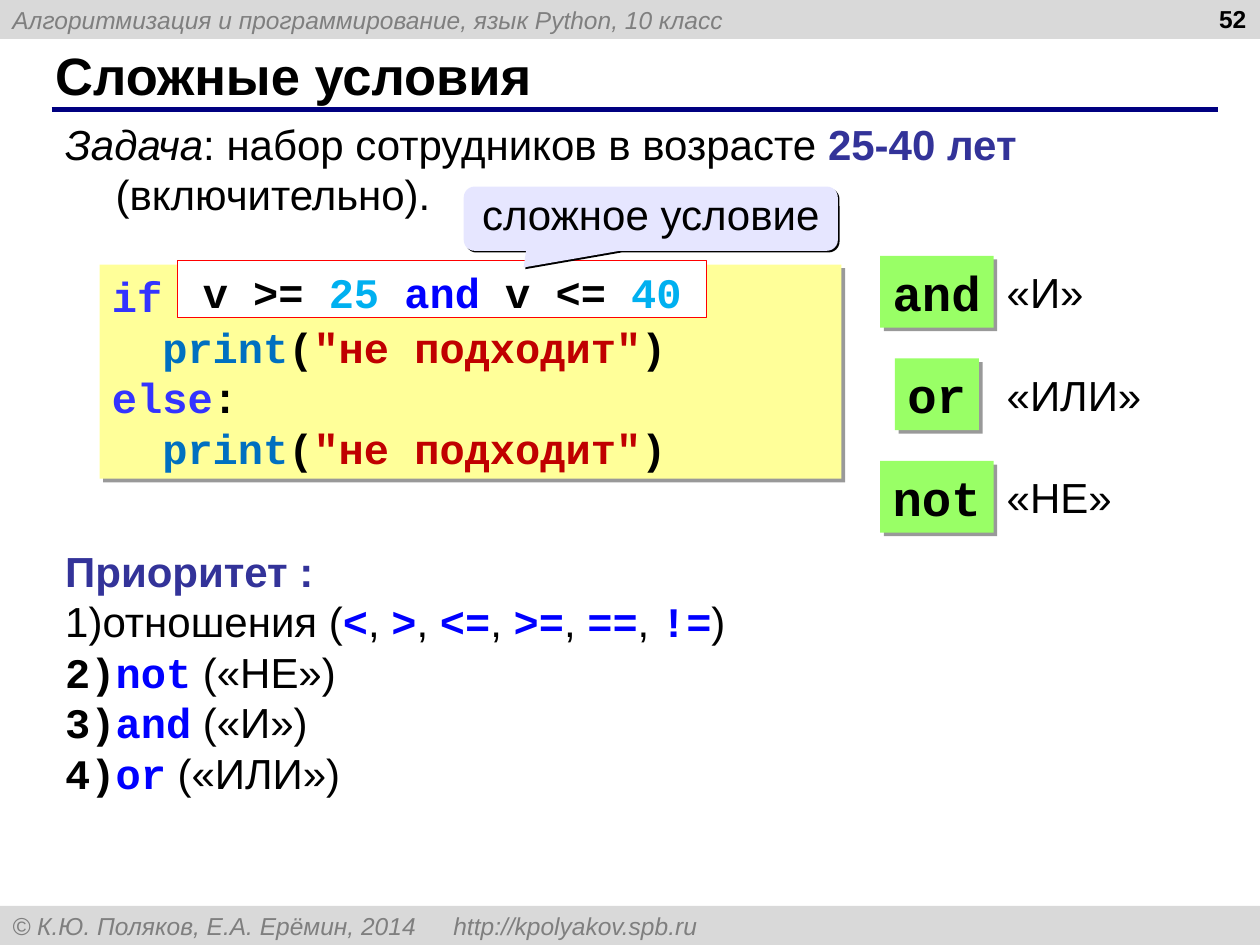
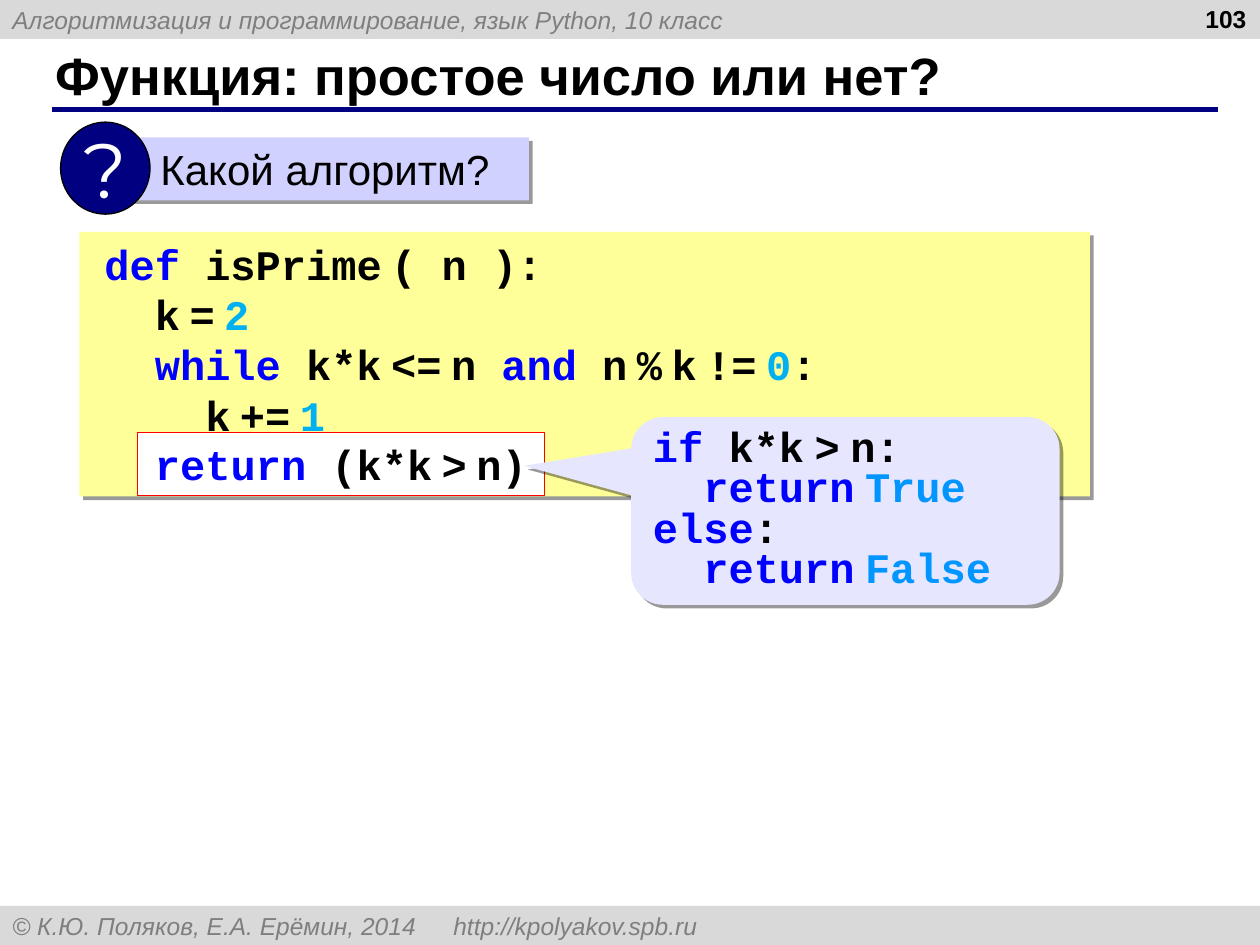
"""Build two lesson slides on conditions and prime numbers in Python."""
from lxml import etree
from pptx import Presentation
from pptx.dml.color import RGBColor
from pptx.enum.shapes import MSO_CONNECTOR, MSO_SHAPE
from pptx.enum.text import MSO_ANCHOR, PP_ALIGN
from pptx.oxml.ns import qn
from pptx.util import Pt

RECT, OVAL = MSO_SHAPE.RECTANGLE, MSO_SHAPE.OVAL
BUBBLE = MSO_SHAPE.ROUNDED_RECTANGULAR_CALLOUT
LINE = MSO_CONNECTOR.STRAIGHT
TOP, MID = MSO_ANCHOR.TOP, MSO_ANCHOR.MIDDLE
CENTER, RIGHT = PP_ALIGN.CENTER, PP_ALIGN.RIGHT

BLACK = RGBColor(0, 0, 0)
WHITE = RGBColor(255, 255, 255)
BAND = RGBColor(0xD9, 0xD9, 0xD9)
GRAY = RGBColor(0x7F, 0x7F, 0x7F)
NAVY = RGBColor(0, 0, 0x80)
INDIGO = RGBColor(0x33, 0x33, 0x99)
VIOLET = RGBColor(0x33, 0x33, 0xFF)
BLUE = RGBColor(0, 0, 0xFF)
STEEL = RGBColor(0, 0x70, 0xC0)
CYAN = RGBColor(0, 0xB0, 0xF0)
AZURE = RGBColor(0, 0x95, 0xFF)
CRIMSON = RGBColor(0xC0, 0, 0)
RED = RGBColor(255, 0, 0)
YELLOW = RGBColor(0xFF, 0xFF, 0x99)
GREEN = RGBColor(0x99, 0xFF, 0x66)
LILAC = RGBColor(0xD1, 0xD1, 0xFF)
PALE = RGBColor(0xE6, 0xE6, 0xFF)

BODY = {"name": "Arial", "size": Pt(24)}
BOLD = {**BODY, "bold": True}
SLANT = {**BODY, "italic": True}
SMALL = {"name": "Arial", "size": Pt(14)}
MONO = {"name": "Courier New", "size": Pt(24), "bold": True}
LOOKS = {
    "text": (BODY, BLACK),
    "slant": (SLANT, BLACK),
    "mark": (BOLD, INDIGO),
    "title": ({**BOLD, "size": Pt(30)}, BLACK),
    "band": ({**SMALL, "italic": True}, GRAY),
    "page": ({**SMALL, "bold": True}, BLACK),
    "code": (MONO, BLACK),
    "key": (MONO, BLUE),
    "branch": (MONO, VIOLET),
    "call": (MONO, STEEL),
    "str": (MONO, CRIMSON),
    "num": (MONO, CYAN),
    "bool": (MONO, AZURE),
    "word": ({**MONO, "size": Pt(28)}, BLACK),
    "ask": ({"name": "Montserrat", "size": Pt(44)}, WHITE),
}
THIN = "~"
SOFT = (40, 3)
HARD = (100, 1.4)

HEAD = "Алгоритмизация и программирование, язык Python, 10 класс"
FOOT = "© К.Ю. Поляков, Е.А. Ерёмин, 2014\thttp://kpolyakov.spb.ru"

TASK = [[("Задача", "slant"), (": набор сотрудников в возрасте ", "text"),
         ("25-40 лет ", "mark"), ("(включительно).", "text")]]
PRINT = [("  ", "code"), ("print", "call"), ("(", "code"),
         ('"не подходит"', "str"), (")", "code")]
CHOICE = [[("if", "branch"), ("\t:", "code")], PRINT,
          [("else", "branch"), (":", "code")], PRINT]
TEST = [[("v >= ", "code"), ("25 ", "num"), ("and", "key"),
         (" v <= ", "code"), ("40", "num")]]
WORDS = [("and", "«И»"), ("or", "«ИЛИ»"), ("not", "«НЕ»")]
SIGNS = ["<", ">", "<=", ">=", "==", "!="]
ORDER = ["not", "and", "or"]

RETURN = [("return", "key"), (" (k*k~>~n)", "code")]
PRIME = [
    [("def", "key"), (" isPrime~( n ):", "code")],
    [("  k~=~", "code"), ("2", "num")],
    [("  ", "code"), ("while", "key"), (" k*k~<=~n ", "code"), ("and", "key"),
     (" n~%~k~!=~", "code"), ("0", "num"), (":", "code")],
    [("    k~+=~", "code"), ("1", "num")],
    [("  ", "code")] + RETURN,
]
LONG = [
    [("if ", "key"), ("k*k~>~n:", "code")],
    [("  return~", "key"), ("True", "bool")],
    [("else", "key"), (":", "code")],
    [("  return~", "key"), ("False", "bool")],
]


def one(text, look="text"):
    """Wrap one run as a list of paragraphs."""
    return [[(text, look)]]


def child(node, tag, **values):
    """Add an XML child with the given attributes."""
    item = etree.SubElement(node, qn(tag))
    for key, value in values.items():
        item.set(key, str(value))
    return item


def put(par, text, look, thin):
    """Add a run, drawing thin marks as small spaces."""
    face, color = LOOKS[look]
    for i, part in enumerate(text.split(THIN)):
        for piece, size in ((" " if i else "", Pt(thin)), (part, face["size"])):
            if piece:
                run = par.add_run()
                run.text = piece
                for key, value in {**face, "size": size}.items():
                    setattr(run.font, key, value)
                run.font.color.rgb = color


def write(shape, pars, anchor=TOP, inset=3.6, wrap=True, left=0, hang=0,
          tab=None, count=False, thin=9, **form):
    """Fill a shape with formatted paragraphs."""
    frame = shape.text_frame
    frame.word_wrap, frame.vertical_anchor = wrap, anchor
    frame.margin_left = frame.margin_right = Pt(7.2)
    frame.margin_top, frame.margin_bottom = Pt(inset), Pt(3.6)
    for i, runs in enumerate(pars):
        par = frame.add_paragraph() if i else frame.paragraphs[0]
        props = par._p.get_or_add_pPr()
        props.set("marL", str(Pt(left)))
        props.set("indent", str(Pt(hang)))
        if count and i:
            color = child(props, "a:buClr")
            child(color, "a:srgbClr", val=BLACK)
            child(props, "a:buAutoNum", type="arabicParenR")
        if tab:
            tabs = child(props, "a:tabLst")
            child(tabs, "a:tab", pos=Pt(tab[0]), algn=tab[1])
        for key, value in {"alignment": PP_ALIGN.LEFT, **form}.items():
            setattr(par, key, value)
        for text, look in runs:
            put(par, text, look, thin)


def label(slide, box, pars, **form):
    """Add a text box."""
    write(slide.shapes.add_textbox(*map(Pt, box)), pars, **form)


def block(slide, box, fill, pars, kind=RECT, edge=None, shade=None, adj=(), **form):
    """Add a filled shape with text."""
    shape = slide.shapes.add_shape(kind, *map(Pt, box))
    for i, value in enumerate(adj):
        shape.adjustments[i] = value
    shape.fill.solid()
    shape.fill.fore_color.rgb = fill
    if edge is None:
        shape.line.fill.background()
    else:
        shape.line.color.rgb, shape.line.width = edge, Pt(0.75)
    shape.shadow.inherit = False
    if shade:
        alpha, dist = shade
        cast = child(shape._element.spPr.find(qn("a:effectLst")), "a:outerShdw",
                     blurRad=0, dist=Pt(dist), dir=45 * 60000, algn="ctr", rotWithShape=0)
        child(child(cast, "a:srgbClr", val=BLACK), "a:alpha", val=alpha * 1000)
    write(shape, pars, **form)


def start(deck, title, page):
    """Add a slide with its bands, rule, title and number."""
    slide = deck.slides.add_slide(deck.slide_layouts[6])
    high = 22.3
    block(slide, (0, 0, 720, high), BAND, one(HEAD, "band"), anchor=MID)
    block(slide, (0, 540 - high, 720, high), BAND, one(FOOT, "band"),
          anchor=MID, tab=(692, "r"))
    rule = slide.shapes.add_connector(LINE, Pt(29.5), Pt(62.6), Pt(696.2), Pt(62.6))
    rule.line.color.rgb, rule.line.width = NAVY, Pt(3)
    child(rule._element.spPr, "a:effectLst")
    label(slide, (24.5, 23.8, 659.5, 37.4), one(title, "title"), anchor=MID)
    label(slide, (551.5, 0, 167.8, 36), one(page, "page"), inset=2.2, alignment=RIGHT)
    return slide


def logic(deck):
    """Build the slide on compound conditions."""
    slide = start(deck, "Сложные условия", "52")
    label(slide, (30.2, 64.1, 663, 64.8), TASK, left=28.8, hang=-28.8)
    block(slide, (56.9, 151.2, 424, 122.4), YELLOW, CHOICE, shade=SOFT,
          anchor=MID, tab=(345.6, "l"))
    for i, (word, sense) in enumerate(WORDS):
        wide, top = 14.4 + 16.8 * len(word), 146.2 + 58.6 * i
        block(slide, (535.4 - wide / 2, top, wide, 41), GREEN, one(word, "word"),
              shade=SOFT, wrap=False)
        label(slide, (568.2, top + 2.6, 94, 36), one(sense))
    first = [("отношения (", "text")]
    for i, sign in enumerate(SIGNS):
        first += [(", ", "text")] * (i > 0) + [(sign, "key")]
    first.append((")", "text"))
    sense = dict(WORDS)
    rest = [[(word, "key"), (f" ({sense[word]})", "text")] for word in ORDER]
    label(slide, (30.2, 308.2, 475, 151), one("Приоритет :", "mark") + [first] + rest,
          count=True)
    block(slide, (101.5, 149, 302.4, 32.4), WHITE, TEST, edge=RED, alignment=CENTER)
    block(slide, (265, 106.6, 213.8, 36.7), PALE, one("сложное условие"), BUBBLE,
          shade=HARD, adj=(-0.34, 0.76, 0.17), anchor=MID, alignment=CENTER,
          line_spacing=0.8)


def prime(deck):
    """Build the slide on the prime test function."""
    slide = start(deck, "Функция: простое число или нет?", "103")
    block(slide, (71.3, 78.5, 231, 36), LILAC, one("Какой алгоритм?"), shade=SOFT, left=13.3)
    block(slide, (34.6, 69.8, 51.1, 52.6), NAVY, one("?", "ask"), OVAL, edge=BLACK,
          anchor=MID, wrap=False, alignment=CENTER)
    block(slide, (45.4, 132.5, 577.4, 151.2), YELLOW, PRIME, shade=SOFT,
          anchor=MID, left=14.4, hang=-7.2)
    block(slide, (78.5, 247, 232.6, 36), WHITE, [RETURN], edge=RED, alignment=CENTER)
    block(slide, (360.7, 238.3, 244.8, 107.3), PALE, LONG, BUBBLE, shade=SOFT,
          adj=(-0.75, -0.24, 0.17), anchor=MID, thin=10, line_spacing=0.8)


def main():
    """Build and save the deck."""
    deck = Presentation()
    deck.slide_width, deck.slide_height = Pt(720), Pt(540)
    logic(deck)
    prime(deck)
    deck.save("out.pptx")


if __name__ == "__main__":
    main()
